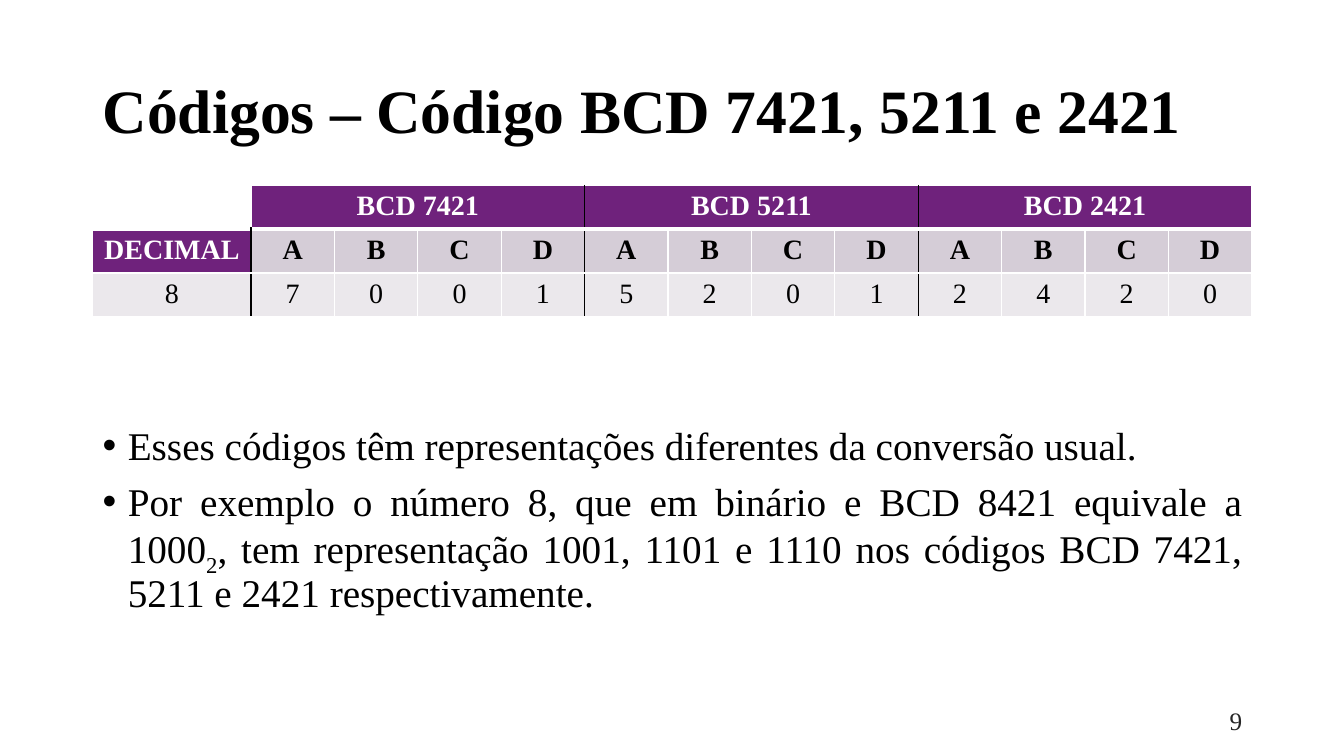
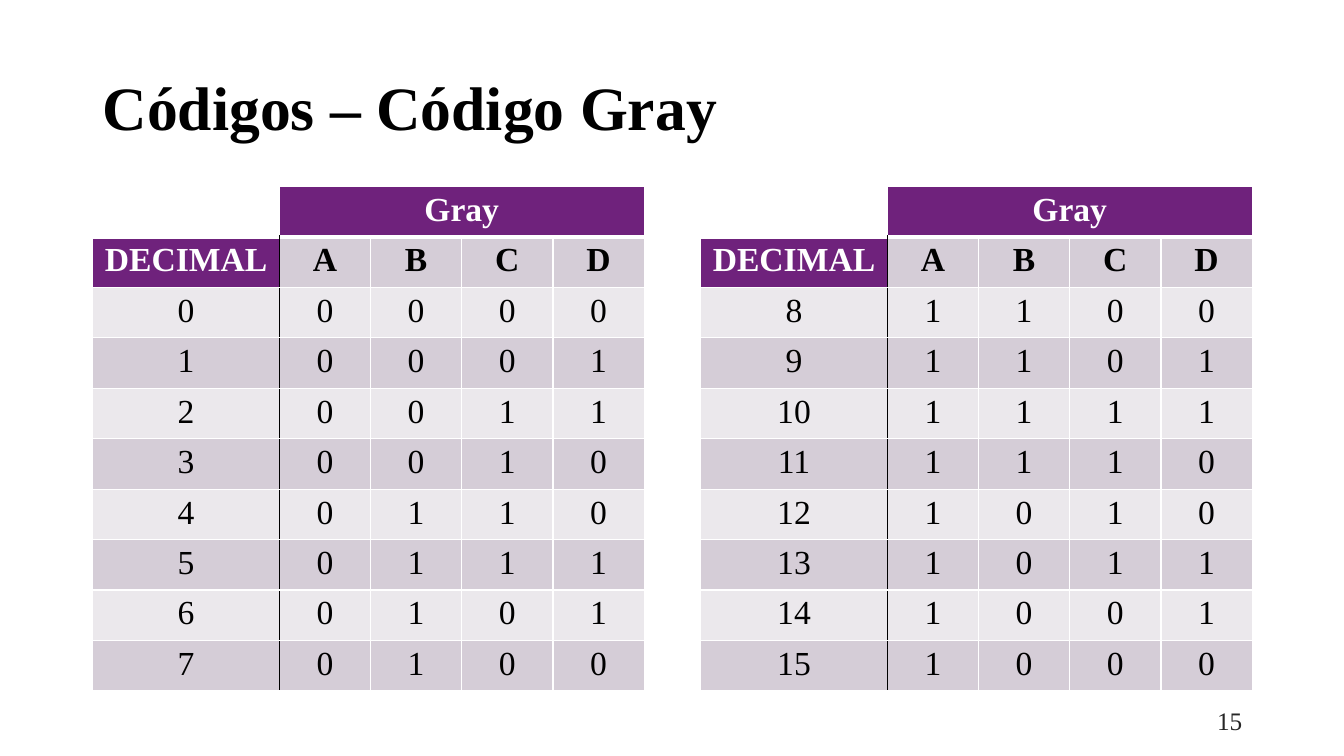
from lxml.etree import SubElement
from pptx import Presentation
from pptx.dml.color import RGBColor
from pptx.enum.text import MSO_ANCHOR, PP_ALIGN
from pptx.oxml.ns import qn
from pptx.util import Inches, Pt

FONT = "Times New Roman"
BLACK, WHITE, GREY = "000000", "FFFFFF", "262626"
PURPLE, BAND_DARK, BAND_LIGHT = "6F227C", "D5CDD7", "EBE8EC"
LEFT, WIDTH = 0.92, 11.5
BITS = "ABCD"


def rgb(color):
    return RGBColor.from_string(color)


def style_runs(p, size, color=BLACK, bold=False):
    for r in p.runs:
        r.font.name = FONT
        r.font.size = Pt(size)
        r.font.bold = bold
        r.font.color.rgb = rgb(color)


def add_text_box(s, left, top, width, height, anchor=MSO_ANCHOR.MIDDLE):
    tf = s.shapes.add_textbox(Inches(left), Inches(top), Inches(width), Inches(height)).text_frame
    tf.word_wrap = True
    tf.vertical_anchor = anchor
    return tf


def add_titled_slide(prs, title, top, number):
    s = prs.slides.add_slide(prs.slide_layouts[6])
    p = add_text_box(s, LEFT, top, WIDTH, 1.45).paragraphs[0]
    p.text = title
    p.line_spacing = 0.9
    style_runs(p, 44, bold=True)
    p = add_text_box(s, LEFT + WIDTH - 3, 6.95, 3, 0.4).paragraphs[0]
    p.text = str(number)
    p.alignment = PP_ALIGN.RIGHT
    style_runs(p, 18, GREY)
    return s


def add_bullets(s, top, height, bullets):
    tf = add_text_box(s, LEFT, top, WIDTH, height, MSO_ANCHOR.TOP)
    for i, parts in enumerate(bullets):
        p = tf.add_paragraph() if i else tf.paragraphs[0]
        p.alignment = PP_ALIGN.JUSTIFY
        p.line_spacing = 0.9
        p.space_before = Pt(10)
        pPr = p._p.get_or_add_pPr()
        pPr.set("marL", str(Inches(0.25)))
        pPr.set("indent", str(-Inches(0.25)))
        SubElement(pPr, qn("a:buFont"), typeface="Arial")
        SubElement(pPr, qn("a:buChar"), char="•")
        for j, part in enumerate(parts):
            r = p.add_run()
            r.text = part
            if j % 2:
                r.font._element.set("baseline", "-25000")
        style_runs(p, 28)


def set_borders(cell, **borders):
    tcPr = cell._tc.get_or_add_tcPr()
    for side, (color, width) in borders.items():
        ln = SubElement(tcPr, qn(f"a:ln{side}"), w=str(Pt(width)))
        fill = SubElement(ln, qn("a:solidFill"))
        SubElement(fill, qn("a:srgbClr"), val=color)


def style_cell(cell, text, size, fill, color, bold):
    cell.vertical_anchor = MSO_ANCHOR.TOP
    if fill:
        cell.fill.solid()
        cell.fill.fore_color.rgb = rgb(fill)
    else:
        cell.fill.background()
    p = cell.text_frame.paragraphs[0]
    p.text = text
    p.alignment = PP_ALIGN.CENTER
    style_runs(p, size, color, bold)


def vertical_edge(row, edge, last):
    inner = edge % 4 == 1 and edge < last
    return (BLACK if inner and (row or edge > 1) else WHITE, 1)


def add_code_table(s, left, top, width, first_col, row_height, size, groups, rows):
    n = len(BITS)
    cols = 1 + n * len(groups)
    grid = [[""] * cols, ["DECIMAL", *BITS * len(groups)], *rows]
    table = s.shapes.add_table(len(grid), cols, Inches(left), Inches(top), Inches(width),
                               Inches(row_height * len(grid))).table
    table.first_row = table.horz_banding = False
    for i, col in enumerate(table.columns):
        col.width = Inches((width - first_col) / (cols - 1) if i else first_col)
    for i, name in enumerate(groups):
        start = 1 + i * n
        grid[0][start] = name
        table.cell(0, start).merge(table.cell(0, start + n - 1))
    for y, values in enumerate(grid):
        table.rows[y].height = Inches(row_height)
        for x, text in enumerate(values):
            start, end = x, x + 1
            if y == 0 and x:
                start = x - (x - 1) % n
                end = start + n
            cell = table.cell(y, x)
            set_borders(cell,
                        L=vertical_edge(y, start, cols),
                        R=vertical_edge(y, end, cols),
                        T=(WHITE, 3 if y == 1 else 1),
                        B=(WHITE, 3 if y == 0 else 1))
            heading = y == 0 or (y == 1 and x == 0)
            fill = PURPLE if heading else (BAND_DARK if y % 2 else BAND_LIGHT)
            if y == 0 and x == 0:
                fill = None
            style_cell(cell, text, size, fill, WHITE if heading else BLACK, y < 2)


def gray_row(n):
    return [str(n), *f"{n ^ n >> 1:04b}"]


def main():
    prs = Presentation()
    prs.slide_width = Inches(13.33)
    prs.slide_height = Inches(7.5)

    s = add_titled_slide(prs, "Códigos – Código BCD 7421, 5211 e 2421", 0.4, 9)
    add_bullets(s, 4.18, 2.57, [
        ["Esses códigos têm representações diferentes da conversão usual."],
        ["Por exemplo o número 8, que em binário e BCD 8421 equivale a 1000", "2",
         ", tem representação 1001, 1101 e 1110 nos códigos BCD 7421, 5211 e 2421 respectivamente."],
    ])
    add_code_table(s, LEFT, 1.84, WIDTH, 1.57, 0.41, 20,
                   ["BCD 7421", "BCD 5211", "BCD 2421"], [["8", *"700152012420"]])

    s = add_titled_slide(prs, "Códigos – Código Gray", 0.37, 15)
    table_width = 5.47
    for left, first in ((LEFT, 0), (LEFT + WIDTH - table_width, 8)):
        add_code_table(s, left, 1.85, table_width, 1.85, 0.47, 24, ["Gray"],
                       [gray_row(n) for n in range(first, first + 8)])

    prs.save("out.pptx")


if __name__ == "__main__":
    main()
